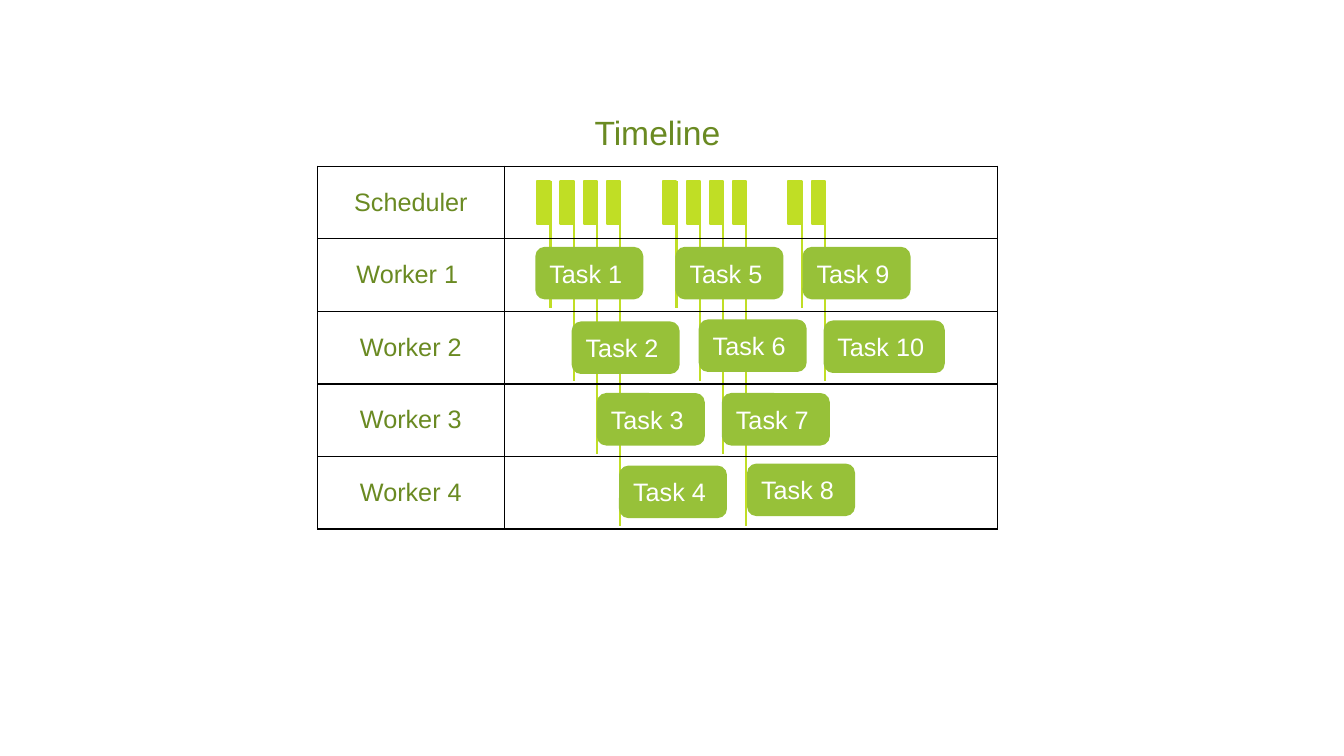
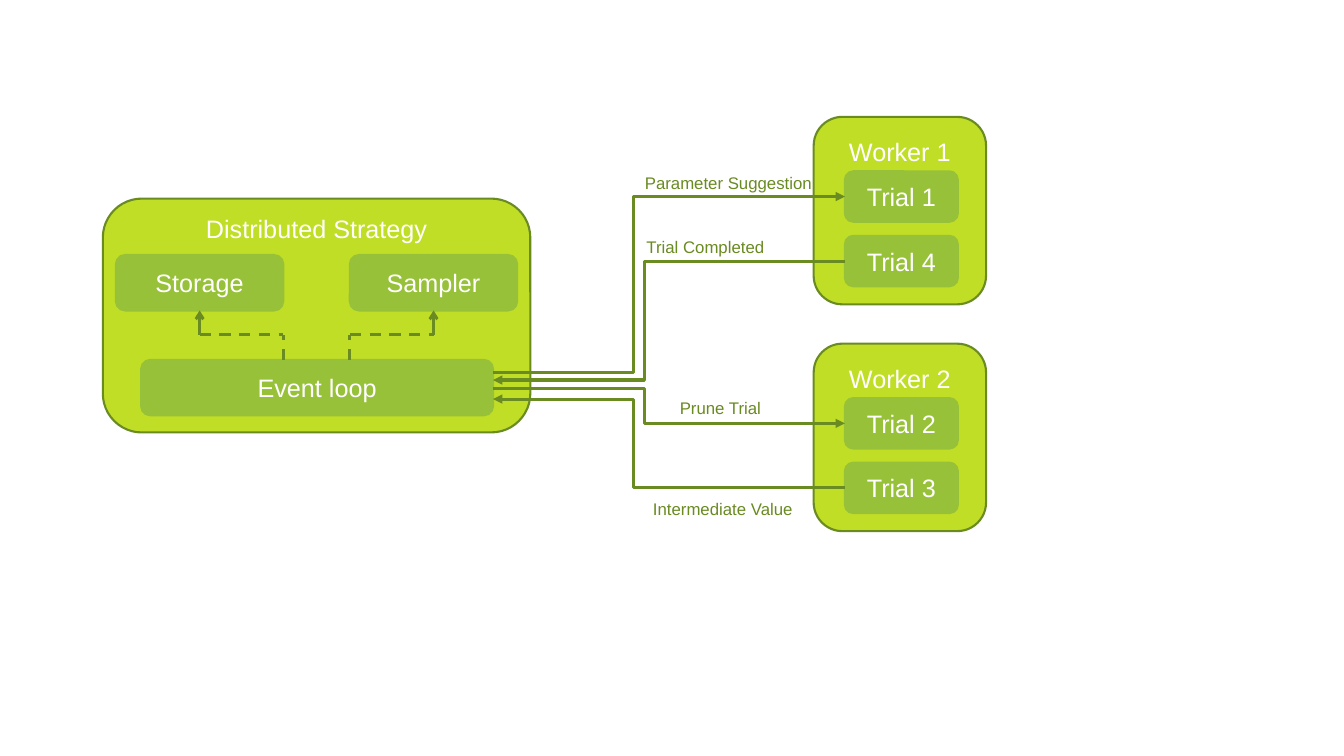
from typing import NamedTuple, Optional

import lxml.etree
import pptx
import pptx.dml.color
import pptx.enum.dml
import pptx.enum.shapes
import pptx.enum.text
import pptx.oxml.ns
import pptx.util

Inches = pptx.util.Inches
Pt = pptx.util.Pt
qn = pptx.oxml.ns.qn
SHAPE = pptx.enum.shapes.MSO_SHAPE
CONNECTOR = pptx.enum.shapes.MSO_CONNECTOR
ALIGN = pptx.enum.text.PP_ALIGN
ANCHOR = pptx.enum.text.MSO_ANCHOR

# Shared style
FONT = "Arial"
COLORS = {
    "lime": "C0DE25",
    "leaf": "97C139",
    "olive": "6A8A22",
    "white": "FFFFFF",
    "black": "000000",
}


class Box(NamedTuple):
    text: str
    left: float
    top: float
    width: float
    height: float = 0.5
    fill: Optional[str] = "leaf"
    line: Optional[str] = "leaf"
    ink: str = "white"
    size: int = 18
    title_inset: Optional[float] = None  # set: text sits at the top


class Link(NamedTuple):
    start: tuple[float, float]
    end: tuple[float, float]
    color: str = "olive"
    width: float = 2
    dashed: bool = False
    head: str = ""
    bend: Optional[float] = None  # share of the width before the turn


def rgb(name: str) -> pptx.dml.color.RGBColor:
    return pptx.dml.color.RGBColor.from_string(COLORS[name])


def write(tf, text: str, size: int, color: str) -> None:
    p = tf.paragraphs[0]
    p.alignment = ALIGN.CENTER
    r = p.add_run()
    r.text = text
    r.font.name = FONT
    r.font.size = Pt(size)
    r.font.color.rgb = rgb(color)


def draw_box(slide, box: Box, kind=SHAPE.ROUNDED_RECTANGLE):
    sp = slide.shapes.add_shape(kind, Inches(box.left), Inches(box.top),
                                Inches(box.width), Inches(box.height))
    sp.shadow.inherit = False
    if box.fill:
        sp.fill.solid()
        sp.fill.fore_color.rgb = rgb(box.fill)
    else:
        sp.fill.background()
    if box.line:
        sp.line.color.rgb = rgb(box.line)
        sp.line.width = Pt(1.5)
    else:
        sp.line.fill.background()
    if box.text:
        tf = sp.text_frame
        tf.word_wrap = True
        tf.vertical_anchor = ANCHOR.MIDDLE
        if box.title_inset is not None:
            tf.vertical_anchor = ANCHOR.TOP
            tf.margin_top = Inches(box.title_inset)
        write(tf, box.text, box.size, box.ink)
    return sp


def draw_link(slide, link: Link):
    kind = CONNECTOR.STRAIGHT if link.bend is None else CONNECTOR.ELBOW
    ends = [Inches(v) for v in (*link.start, *link.end)]
    c = slide.shapes.add_connector(kind, *ends)
    c.line.color.rgb = rgb(link.color)
    c.line.width = Pt(link.width)
    if link.dashed:
        c.line.dash_style = pptx.enum.dml.MSO_LINE.DASH
    sp_pr = c.element.spPr
    if link.head:
        lxml.etree.SubElement(sp_pr.find(qn("a:ln")), qn("a:tailEnd"), type=link.head)
    if link.bend is not None:
        geom = sp_pr.find(qn("a:prstGeom"))
        guides = geom.find(qn("a:avLst"))
        if guides is None:
            guides = lxml.etree.SubElement(geom, qn("a:avLst"))
        lxml.etree.SubElement(guides, qn("a:gd"), name="adj1",
                              fmla=f"val {round(link.bend * 100000)}")
    lxml.etree.SubElement(sp_pr, qn("a:effectLst"))
    return c


# Timeline slide
ROW_HEIGHT = 0.72
ROW_NAMES = ["Scheduler", "Worker 1 ", "Worker 2", "Worker 3", "Worker 4"]
TICK_GROUPS = [(5.33, 4), (6.58, 4), (7.82, 2)]  # left edge, ticks
TICK_TOP, TICK_WIDTH, TICK_HEIGHT, TICK_PITCH = 1.8, 0.13, 0.42, 0.23
FIRST_DROP_END = 3.06
TASK_PLACES = [
    (5.32, 2.46), (5.68, 3.2), (5.93, 3.91), (6.15, 4.63), (6.71, 2.46),
    (6.94, 3.18), (7.17, 3.91), (7.42, 4.61), (7.97, 2.46), (8.18, 3.19),
]


def border_cell(cell) -> None:
    tc_pr = cell._tc.get_or_add_tcPr()
    for side in ("a:lnL", "a:lnR", "a:lnT", "a:lnB"):
        ln = lxml.etree.SubElement(tc_pr, qn(side), w=str(Pt(1)))
        fill = lxml.etree.SubElement(ln, qn("a:solidFill"))
        lxml.etree.SubElement(fill, qn("a:srgbClr"), val=COLORS["black"])


def draw_schedule_table(slide) -> None:
    rows = len(ROW_NAMES)
    table = slide.shapes.add_table(rows, 2, Inches(3.15), Inches(1.65), Inches(6.74),
                                   Inches(ROW_HEIGHT * rows)).table
    table.first_row = False
    table.horz_banding = False
    for column, width in zip(table.columns, (1.85, 4.89)):
        column.width = Inches(width)
    for row, name in zip(table.rows, ROW_NAMES):
        row.height = Inches(ROW_HEIGHT)
        for cell in row.cells:
            border_cell(cell)
            cell.fill.background()
        label = row.cells[0]
        label.vertical_anchor = ANCHOR.MIDDLE
        write(label.text_frame, name, 18, "olive")


def build_timeline(prs) -> None:
    slide = prs.slides.add_slide(prs.slide_layouts[5])
    # Title
    title = slide.shapes.title
    title.left, title.top = Inches(5.79), Inches(1.06)
    title.width, title.height = Inches(1.46), Inches(0.5)
    tf = title.text_frame
    tf.word_wrap = False
    tf.auto_size = pptx.enum.text.MSO_AUTO_SIZE.NONE
    tf.vertical_anchor = ANCHOR.TOP
    write(tf, "Timeline", 24, "olive")
    # Scheduler ticks, each dropping to the row of its worker
    for group_left, count in TICK_GROUPS:
        for i in range(count):
            left = group_left + i * TICK_PITCH
            draw_box(slide, Box("", left, TICK_TOP, TICK_WIDTH, TICK_HEIGHT,
                                "lime", "lime"), SHAPE.RECTANGLE)
            x = left + TICK_WIDTH
            draw_link(slide, Link((x, TICK_TOP), (x, FIRST_DROP_END + i * ROW_HEIGHT),
                                  "lime", 1.5))
    draw_schedule_table(slide)
    # Tasks
    for number, (left, top) in enumerate(TASK_PLACES, 1):
        width = 1.05 if number < 10 else 1.18
        draw_box(slide, Box(f"Task {number} ", left, top, width))


# Architecture slide
LABELS = [
    Box("Parameter Suggestion", 6.24, 1.61, 1.97, 0.4, "white", None, "olive", 12),
    Box(" Trial Completed", 6.24, 2.27, 1.47, 0.35, "white", None, "olive", 12),
    Box("Prune Trial", 6.57, 3.89, 1.15, 0.31, "white", None, "olive", 12),
    Box("Intermediate Value", 6.19, 4.8, 1.96, 0.5, None, None, "olive", 12),
]
STRATEGY = Box("Distributed Strategy", 1.02, 1.97, 4.24, 2.32, "lime", "olive",
               title_inset=0.03)
EVENT_LOOP = Box("Event loop", 1.4, 3.57, 3.49, 0.55)
STORAGE = Box("Storage", 1.15, 2.53, 1.66, 0.55)
SAMPLER = Box("Sampler", 3.47, 2.53, 1.66, 0.55)
WORKERS = [
    ("Worker 1", 1.16, ("Trial 1", "Trial 4")),
    ("Worker 2", 3.41, ("Trial 2", "Trial 3")),
]
LOOP_RIGHT, TRIAL_LEFT, TURN_Y = 4.89, 8.38, 3.32
MESSAGES = [
    Link((LOOP_RIGHT, 3.7), (TRIAL_LEFT, 1.95), width=2.25, head="triangle", bend=0.4),
    Link((TRIAL_LEFT, 2.59), (LOOP_RIGHT, 3.77), width=2.25, head="triangle", bend=0.57),
    Link((LOOP_RIGHT, 3.85), (TRIAL_LEFT, 4.2), width=2.25, head="triangle", bend=0.43),
    Link((TRIAL_LEFT, 4.84), (LOOP_RIGHT, 3.96), width=2.25, head="triangle", bend=0.6),
]


def build_architecture(prs) -> None:
    slide = prs.slides.add_slide(prs.slide_layouts[6])
    for label in LABELS:
        draw_box(slide, label)
    # Strategy panel
    draw_box(slide, STRATEGY)
    draw_box(slide, EVENT_LOOP)
    # Dashed routes from the event loop, with an arrow into each part
    for part, loop_x in ((STORAGE, 2.81), (SAMPLER, 3.47)):
        sp = draw_box(slide, part)
        x = part.left + part.width / 2
        draw_link(slide, Link((loop_x, EVENT_LOOP.top), (loop_x, TURN_Y), dashed=True))
        draw_link(slide, Link((min(x, loop_x), TURN_Y), (max(x, loop_x), TURN_Y),
                              dashed=True))
        arrow = draw_link(slide, Link((x, TURN_Y), (x, part.top + part.height),
                                      head="arrow"))
        arrow.end_connect(sp, 2)
    # Workers with their trials
    for name, top, trials in WORKERS:
        draw_box(slide, Box(name, 8.07, top, 1.71, 1.86, "lime", "olive",
                            title_inset=0.11))
        for i, trial in enumerate(trials):
            draw_box(slide, Box(trial, TRIAL_LEFT, top + 0.54 + 0.64 * i, 1.12))
    # Messages between the event loop and the trials
    for message in MESSAGES:
        draw_link(slide, message)


def main() -> None:
    prs = pptx.Presentation()
    prs.slide_width = Inches(13.33)
    prs.slide_height = Inches(7.5)
    build_timeline(prs)
    build_architecture(prs)
    prs.save("out.pptx")


if __name__ == "__main__":
    main()
